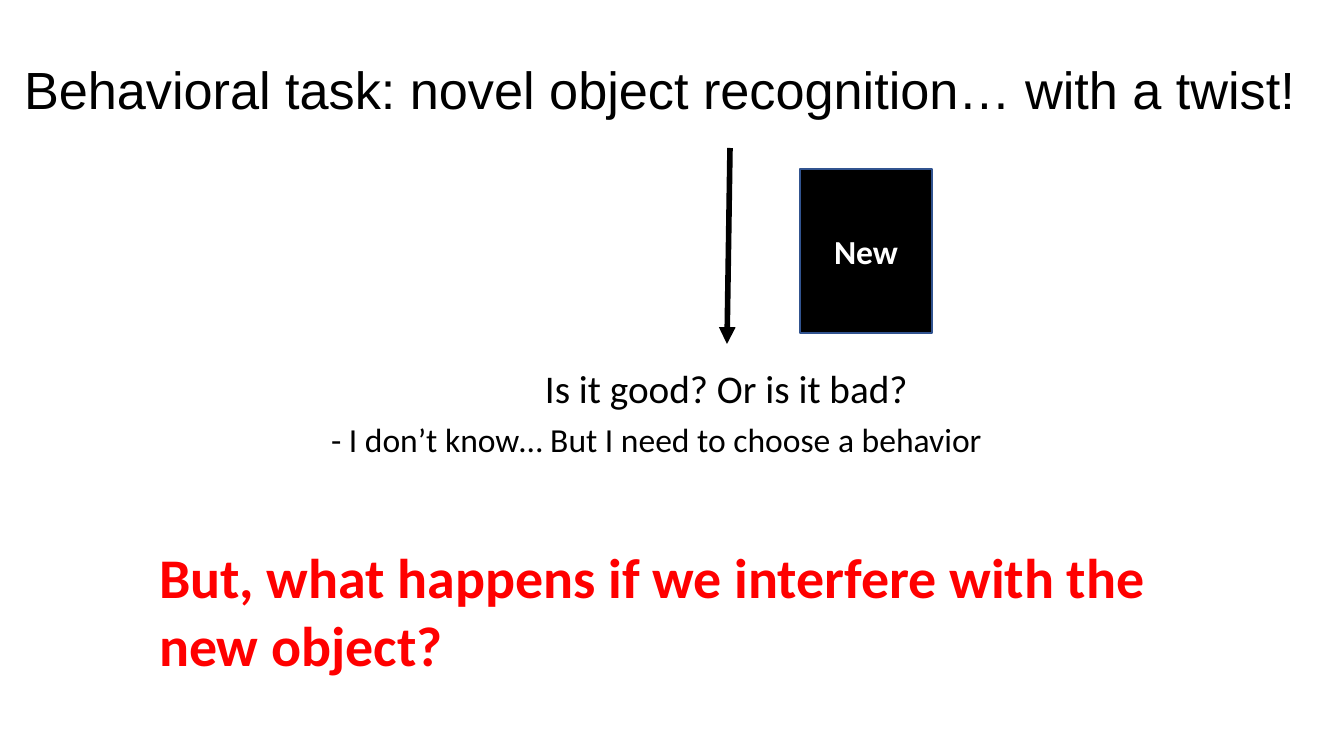
import pptx
import pptx.util
import pptx.dml.color
import pptx.enum.shapes
import pptx.enum.text
import pptx.oxml.ns
import lxml.etree

PX = 914400 / 134.4
BLACK = pptx.dml.color.RGBColor(0x00, 0x00, 0x00)
WHITE = pptx.dml.color.RGBColor(0xFF, 0xFF, 0xFF)
RED = pptx.dml.color.RGBColor(0xFF, 0x00, 0x00)
EDGE_BLUE = pptx.dml.color.RGBColor(0x31, 0x53, 0x8F)

LEFT = pptx.enum.text.PP_ALIGN.LEFT
CENTER = pptx.enum.text.PP_ALIGN.CENTER
TOP = pptx.enum.text.MSO_ANCHOR.TOP
MIDDLE = pptx.enum.text.MSO_ANCHOR.MIDDLE

SLIDE_SIZE = (1344, 756)
HEADING = "Behavioral task: novel object recognition… with a twist!"
HEADING_BOX = (11, 44, 1333, 90)
REMARKS = [
    ("Is it good? Or is it bad?", (535, 359, 414, 51), 21, BLACK, False),
    ("- I don’t know… But I need to choose a behavior", (321, 414, 684, 51), 18, BLACK, False),
    ("But, what happens if we interfere with the new object?", (149, 538, 1103, 144), 30, RED, True),
]
NEW_OBJECT = "New"
NEW_OBJECT_BOX = (800, 169, 132, 164)
ARROW = (730, 148, 727, 344)


def emu(lengths):
    return [round(length * PX) for length in lengths]


def write(holder, words, size, color, bold=False, font="Calibri",
          align=LEFT, anchor=TOP, insets=(10, 5)):
    frame = holder.text_frame
    frame.word_wrap = True
    frame.auto_size = pptx.enum.text.MSO_AUTO_SIZE.NONE
    frame.vertical_anchor = anchor
    side, edge = emu(insets)
    frame.margin_left = frame.margin_right = side
    frame.margin_top = frame.margin_bottom = edge
    paragraph = frame.paragraphs[0]
    paragraph.alignment = align
    run = paragraph.add_run()
    run.text = words
    run.font.name = font
    run.font.size = pptx.util.Pt(size)
    run.font.bold = bold
    run.font.color.rgb = color


deck = pptx.Presentation()
deck.slide_width, deck.slide_height = emu(SLIDE_SIZE)
slide = deck.slides.add_slide(deck.slide_layouts[5])

heading = slide.shapes.title
heading.left, heading.top, heading.width, heading.height = emu(HEADING_BOX)
write(heading, HEADING, 28, BLACK, font="Arial", insets=(13, 13))

for words, box, size, color, bold in REMARKS:
    write(slide.shapes.add_textbox(*emu(box)), words, size, color, bold)

arrow = slide.shapes.add_connector(pptx.enum.shapes.MSO_CONNECTOR.STRAIGHT, *emu(ARROW))
arrow.line.color.rgb = BLACK
arrow.line.width = pptx.util.Pt(3)
lxml.etree.SubElement(arrow.line._get_or_add_ln(), pptx.oxml.ns.qn("a:tailEnd"), type="triangle")
lxml.etree.SubElement(arrow._element.spPr, pptx.oxml.ns.qn("a:effectLst"))

new_object = slide.shapes.add_shape(
    pptx.enum.shapes.MSO_SHAPE.RECTANGLE, *emu(NEW_OBJECT_BOX))
new_object.shadow.inherit = False
new_object.fill.solid()
new_object.fill.fore_color.rgb = BLACK
new_object.line.color.rgb = EDGE_BLUE
new_object.line.width = pptx.util.Pt(1)
write(new_object, NEW_OBJECT, 18, WHITE, True, align=CENTER, anchor=MIDDLE)

deck.save("out.pptx")
